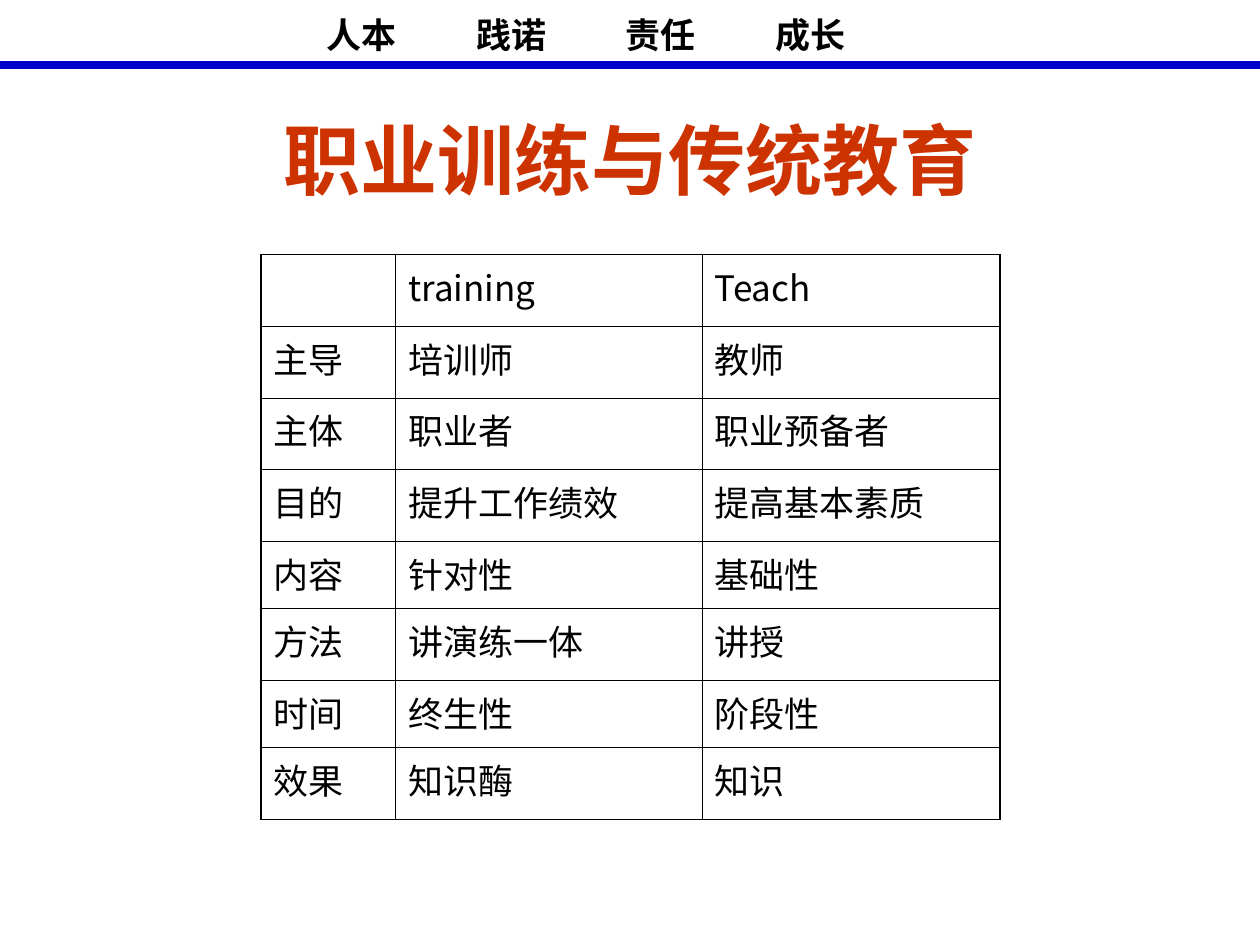
from dataclasses import dataclass

from lxml.etree import SubElement
from pptx import Presentation
from pptx.dml.color import RGBColor
from pptx.enum.shapes import MSO_CONNECTOR
from pptx.enum.text import MSO_ANCHOR, PP_ALIGN
from pptx.oxml.ns import qn
from pptx.util import Pt


@dataclass(frozen=True)
class Theme:
    ink: str = "000000"
    rule: str = "0000CC"
    title: str = "CC3300"
    title_font: str = "Arial"
    body_font: str = "Noto Sans CJK SC"
    title_size: float = 44
    body_size: float = 20
    outer_border: float = 1.08
    inner_border: float = 0.45


THEME = Theme()


def style_run(p, font, size, color, bold=False):
    """Format the paragraph's run, with the body font for Chinese glyphs."""
    r = p.runs[0]
    r.font.name = font
    r.font.size = Pt(size)
    r.font.bold = bold
    r.font.color.rgb = RGBColor.from_string(color)
    SubElement(r.font._element, qn("a:ea"), typeface=THEME.body_font)


def add_border(cell, side, width):
    """Draw one side (L, R, T or B); call before the cell gets its fill."""
    ln = SubElement(cell._tc.get_or_add_tcPr(), qn(f"a:ln{side}"), w=str(Pt(width)))
    fill = SubElement(ln, qn("a:solidFill"))
    SubElement(fill, qn("a:srgbClr"), val=THEME.ink)


prs = Presentation()
prs.slide_width, prs.slide_height = Pt(720), Pt(540)
s = prs.slides.add_slide(prs.slide_layouts[6])

# Header words on evenly spaced tab stops
VALUES = ["人本", "践诺", "责任", "成长"]
VALUE_PITCH = 85.4
tf = s.shapes.add_textbox(Pt(36.7), Pt(3.6), Pt(646.6), Pt(31.7)).text_frame
tf.word_wrap = True
tf.vertical_anchor = MSO_ANCHOR.MIDDLE
tf.margin_left = Pt(150)
p = tf.paragraphs[0]
p.text = "\t".join(VALUES)
tabs = SubElement(p._p.get_or_add_pPr(), qn("a:tabLst"))
for i in range(1, len(VALUES)):
    SubElement(tabs, qn("a:tab"), pos=str(Pt(i * VALUE_PITCH)), algn="l")
style_run(p, THEME.body_font, THEME.body_size, THEME.ink, bold=True)

rule = s.shapes.add_connector(MSO_CONNECTOR.STRAIGHT, 0, Pt(37.4), Pt(720), Pt(37.4))
rule.line.color.rgb = RGBColor.from_string(THEME.rule)
rule.line.width = Pt(4.5)
SubElement(rule._element.spPr, qn("a:effectLst"))

# Title
tf = s.shapes.add_textbox(Pt(36), Pt(60.5), Pt(648), Pt(60.5)).text_frame
tf.word_wrap = True
tf.vertical_anchor = MSO_ANCHOR.MIDDLE
p = tf.paragraphs[0]
p.text = "职业训练与传统教育"
p.alignment = PP_ALIGN.CENTER
style_run(p, THEME.title_font, THEME.title_size, THEME.title, bold=True)

# Comparison table
ROWS = [
    ("", "training", "Teach"),
    ("主导", "培训师", "教师"),
    ("主体", "职业者", "职业预备者"),
    ("目的", "提升工作绩效", "提高基本素质"),
    ("内容", "针对性", "基础性"),
    ("方法", "讲演练一体", "讲授"),
    ("时间", "终生性", "阶段性"),
    ("效果", "知识酶", "知识"),
]
COL_WIDTHS = [77.2, 175, 170.2]
ROW_HEIGHTS = [41, 41, 41, 41, 38.5, 41, 38.5, 41]
last_row, last_col = len(ROWS) - 1, len(COL_WIDTHS) - 1

table = s.shapes.add_table(
    len(ROWS), len(COL_WIDTHS), Pt(149), Pt(145.4),
    Pt(sum(COL_WIDTHS)), Pt(sum(ROW_HEIGHTS)),
).table
table.first_row = table.horz_banding = False
for col, width in zip(table.columns, COL_WIDTHS):
    col.width = Pt(width)
for row, height in zip(table.rows, ROW_HEIGHTS):
    row.height = Pt(height)

for i, texts in enumerate(ROWS):
    for j, text in enumerate(texts):
        cell = table.cell(i, j)
        outer = {"L": j == 0, "R": j == last_col, "T": i == 0, "B": i == last_row}
        for side, is_outer in outer.items():
            add_border(cell, side, THEME.outer_border if is_outer else THEME.inner_border)
        cell.fill.background()
        if text:
            p = cell.text_frame.paragraphs[0]
            p.text = text
            style_run(p, THEME.body_font, THEME.body_size, THEME.ink)

prs.save("out.pptx")
